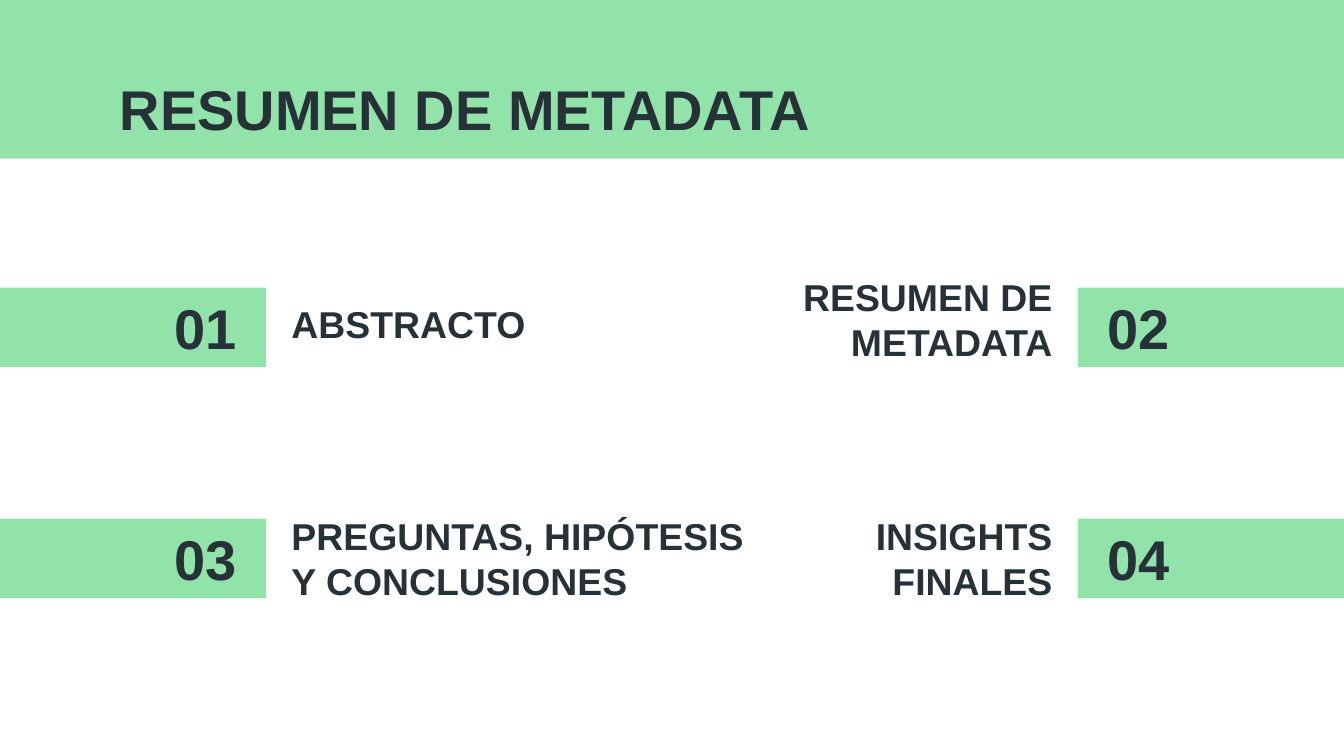
from pptx import Presentation
from pptx.dml.color import RGBColor
from pptx.enum.shapes import MSO_SHAPE
from pptx.enum.text import MSO_ANCHOR, MSO_AUTO_SIZE, PP_ALIGN
from pptx.util import Inches, Pt

RECTANGLE = MSO_SHAPE.RECTANGLE
MIDDLE = MSO_ANCHOR.MIDDLE
NO_AUTOFIT = MSO_AUTO_SIZE.NONE
LEFT, CENTER, RIGHT = PP_ALIGN.LEFT, PP_ALIGN.CENTER, PP_ALIGN.RIGHT

COLORS = {"green": "92E3A9", "ink": "263238"}
FONT = "Arial"
TITLE_ONLY = 5
SLIDE_WIDTH = 10
SLIDE_HEIGHT = SLIDE_WIDTH * 9 / 16
TAB_WIDTH, TAB_HEIGHT = 1.98, 0.59
TAB_TOP, ROW_STEP = 2.14, 1.72
NUMBER_WIDTH, NUMBER_HEIGHT = 0.9, 0.43
LABEL_GAP, LABEL_HEIGHT = 0.09, 0.31

SECTIONS = [
    ("01", "ABSTRACTO", 2.56, 2.25),
    ("02", "RESUMEN DE METADATA", 3.06, 2.22),
    ("03", "PREGUNTAS, HIPÓTESIS Y CONCLUSIONES", 3.69, 4),
    ("04", "INSIGHTS FINALES", 2.56, 4),
]


def add_band(slide, left, top, width, height):
    band = slide.shapes.add_shape(
        RECTANGLE, Inches(left), Inches(top), Inches(width), Inches(height)
    )
    band.shadow.inherit = False
    band.fill.solid()
    band.fill.fore_color.rgb = RGBColor.from_string(COLORS["green"])
    band.line.fill.background()
    return band


def write_text(frame, text, size, align):
    frame.word_wrap = True
    frame.auto_size = NO_AUTOFIT
    frame.vertical_anchor = MIDDLE
    frame.margin_left = frame.margin_right = Inches(0.1)
    frame.margin_top = frame.margin_bottom = Inches(0.1)
    paragraph = frame.paragraphs[0]
    paragraph.alignment = align
    paragraph.line_spacing = 1.0
    run = paragraph.add_run()
    run.text = text
    run.font.name = FONT
    run.font.size = Pt(size)
    run.font.bold = True
    run.font.color.rgb = RGBColor.from_string(COLORS["ink"])


def add_label(slide, text, left, top, width, height, size, align):
    label = slide.shapes.add_textbox(
        Inches(left), Inches(top), Inches(width), Inches(height)
    )
    write_text(label.text_frame, text, size, align)


def set_title(slide, text):
    title = slide.shapes.title
    title.left, title.top = Inches(0.79), Inches(0.49)
    title.width, title.height = Inches(8.43), Inches(0.63)
    write_text(title.text_frame, text, 30, LEFT)


def add_header_band(slide):
    header = add_band(slide, 0, 0, SLIDE_WIDTH, 1.18)
    slide.shapes.title.element.addprevious(header.element)


def add_section(slide, index, number, label, label_width, label_top):
    row, on_right = divmod(index, 2)
    tab_top = TAB_TOP + row * ROW_STEP
    if on_right:
        tab_left = number_left = SLIDE_WIDTH - TAB_WIDTH
        label_left = tab_left - LABEL_GAP - label_width
        align = RIGHT
    else:
        tab_left = 0
        number_left = TAB_WIDTH - NUMBER_WIDTH
        label_left = TAB_WIDTH + LABEL_GAP
        align = LEFT
    number_top = tab_top + (TAB_HEIGHT - NUMBER_HEIGHT) / 2
    add_band(slide, tab_left, tab_top, TAB_WIDTH, TAB_HEIGHT)
    add_label(slide, number, number_left, number_top,
              NUMBER_WIDTH, NUMBER_HEIGHT, 30, CENTER)
    add_label(slide, label, label_left, label_top,
              label_width, LABEL_HEIGHT, 20, align)


def main():
    deck = Presentation()
    deck.slide_width = Inches(SLIDE_WIDTH)
    deck.slide_height = Inches(SLIDE_HEIGHT)
    slide = deck.slides.add_slide(deck.slide_layouts[TITLE_ONLY])
    add_header_band(slide)
    set_title(slide, "RESUMEN DE METADATA")
    for index, section in enumerate(SECTIONS):
        add_section(slide, index, *section)
    deck.save("out.pptx")


if __name__ == "__main__":
    main()
